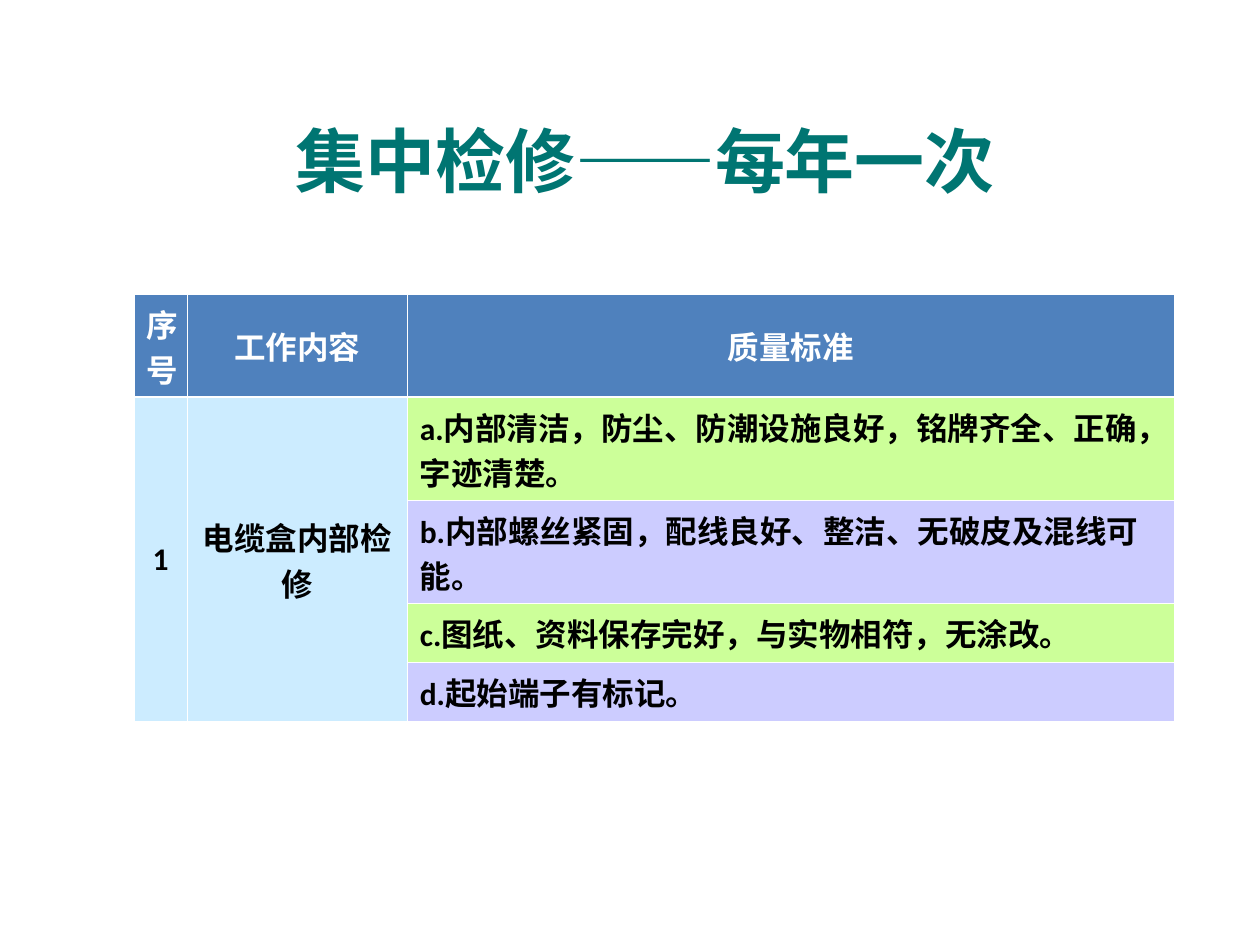
from lxml import etree
from pptx import Presentation
from pptx.dml.color import RGBColor
from pptx.enum.text import MSO_ANCHOR, PP_ALIGN
from pptx.oxml.ns import qn
from pptx.util import Cm, Pt

MIDDLE, TOP = MSO_ANCHOR.MIDDLE, MSO_ANCHOR.TOP
CENTER, LEFT = PP_ALIGN.CENTER, PP_ALIGN.LEFT

TEAL = RGBColor(0x00, 0x75, 0x72)
BLUE = RGBColor(0x4F, 0x81, 0xBD)
SKY = RGBColor(0xCC, 0xEC, 0xFF)
LIME = RGBColor(0xCC, 0xFF, 0x99)
LILAC = RGBColor(0xCC, 0xCC, 0xFF)
WHITE = RGBColor(0xFF, 0xFF, 0xFF)
BLACK = RGBColor(0x00, 0x00, 0x00)

THIN, THICK = Pt(0.45), Pt(1.47)
COLS = (1.08, 4.43, 15.47)
ROWS = (2.08, 2.08, 2.08, 1.19, 1.19)
HEADS = ("序号", "工作内容", "质量标准")
TASK = ("1", "电缆盒内部检修")
RULES = (
    "a.内部清洁，防尘、防潮设施良好，铭牌齐全、正确，字迹清楚。",
    "b.内部螺丝紧固，配线良好、整洁、无破皮及混线可能。",
    "c.图纸、资料保存完好，与实物相符，无涂改。",
    "d.起始端子有标记。",
)


def style(frame, text, name, size, color, align):
    frame.text = text
    para = frame.paragraphs[0]
    para.alignment = align
    font = para.font
    font.name, font.size, font.bold = name, Pt(size), True
    font.color.rgb = color


def add_title(slide, left, top, width, height):
    frame = slide.shapes.add_textbox(left, top, width, height).text_frame
    frame.word_wrap = True
    frame.vertical_anchor = MIDDLE
    style(frame, "集中检修——每年一次", "Arial", 40, TEAL, CENTER)


def set_edges(cell, row):
    """White rules, with a thick one under the header row."""
    widths = {
        "a:lnL": THIN,
        "a:lnR": THIN,
        "a:lnT": THICK if row == 1 else THIN,
        "a:lnB": THICK if row == 0 else THIN,
    }
    props = cell._tc.get_or_add_tcPr()
    for spot, (tag, width) in enumerate(widths.items()):
        line = etree.Element(qn(tag), w=str(int(width)))
        fill = etree.SubElement(line, qn("a:solidFill"))
        etree.SubElement(fill, qn("a:srgbClr"), val=str(WHITE))
        props.insert(spot, line)


def fill_cell(cell, text, back, color=BLACK, align=CENTER, anchor=MIDDLE):
    cell.fill.solid()
    cell.fill.fore_color.rgb = back
    cell.vertical_anchor = anchor
    style(cell.text_frame, text, "Calibri", 18, color, align)


def add_grid(slide, left, top):
    size = Cm(sum(COLS)), Cm(sum(ROWS))
    table = slide.shapes.add_table(
        len(ROWS), len(COLS), left, top, *size).table
    for col, width in zip(table.columns, COLS):
        col.width = Cm(width)
    for row, height in zip(table.rows, ROWS):
        row.height = Cm(height)

    # Header row
    for col, text in enumerate(HEADS):
        fill_cell(table.cell(0, col), text, BLUE, WHITE)

    # Number and task, each spanning all rules
    for col, text in enumerate(TASK):
        table.cell(1, col).merge(table.cell(len(RULES), col))
        fill_cell(table.cell(1, col), text, SKY)

    # Quality rules in alternating colours
    for row, text in enumerate(RULES, 1):
        back = LIME if row % 2 else LILAC
        fill_cell(table.cell(row, 2), text, back, align=LEFT, anchor=TOP)

    for row in range(len(ROWS)):
        for col in range(len(COLS)):
            set_edges(table.cell(row, col), row)


def main():
    deck = Presentation()
    deck.slide_width, deck.slide_height = Cm(25.4), Cm(19.05)
    slide = deck.slides.add_slide(deck.slide_layouts[6])
    add_title(slide, Cm(5.31), Cm(1.93), Cm(15.39), Cm(2.59))
    add_grid(slide, Cm(2.7), Cm(5.93))
    deck.save("out.pptx")


if __name__ == "__main__":
    main()
